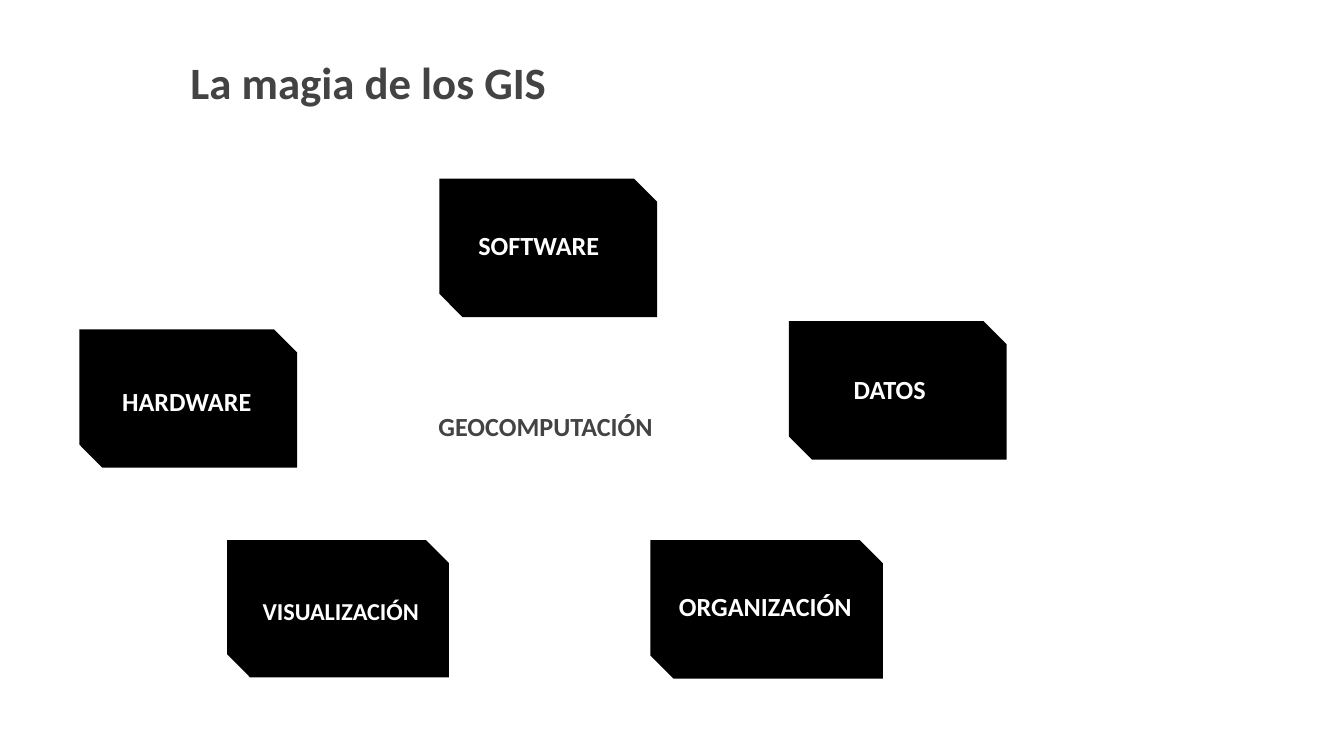
"""Build the GIS slide: five labelled cards around a central term."""
from pptx import Presentation
from pptx.dml.color import RGBColor
from pptx.enum.shapes import MSO_SHAPE
from pptx.enum.text import MSO_ANCHOR, MSO_AUTO_SIZE, PP_ALIGN
from pptx.util import Inches, Pt

CARD = MSO_SHAPE.SNIP_2_DIAG_RECTANGLE
TOP, BOTTOM = MSO_ANCHOR.TOP, MSO_ANCHOR.BOTTOM
CENTER = PP_ALIGN.CENTER
FIXED = MSO_AUTO_SIZE.NONE

WIDE = 10
HIGH = WIDE * 9 / 16
FONT = "Calibri"
BLACK, WHITE, GRAY = "000000", "FFFFFF", "434343"

TITLE = ("La magia de los GIS", (-1.1, 5.4, 57, 18.31))
CORE = ("GEOCOMPUTACIÓN", (28, 49.07, 25.2, 11.2))
CARDS = [
    ("VISUALIZACIÓN", 13, (16.9, 71.47, 16.5, 18.13), (15.7, 76.8, 19.3)),
    ("ORGANIZACIÓN", 14, (48.4, 71.47, 17.3, 18.31), (47.3, 76.44, 19.3)),
    ("SOFTWARE", 14, (32.7, 23.64, 16.2, 18.31), (32.3, 28.62, 15.6)),
    ("HARDWARE", 14, (5.9, 43.56, 16.2, 18.31), (6.1, 49.24, 15.6)),
    ("DATOS", 14, (58.7, 42.49, 16.2, 18.31), (58.4, 47.64, 15.6)),
]
LABEL_HIGH = 7.64


def color(code):
    return RGBColor.from_string(code)


def place(box):
    return [Inches(part * side / 100)
            for part, side in zip(box, (WIDE, HIGH) * 2)]


def write(shape, text, size, ink, anchor=BOTTOM):
    frame = shape.text_frame
    frame.text = text
    frame.word_wrap = True
    frame.auto_size = FIXED
    frame.vertical_anchor = anchor
    frame.margin_left = frame.margin_right = Inches(0.1)
    frame.margin_top = frame.margin_bottom = Inches(0.1)
    line = frame.paragraphs[0]
    line.alignment = CENTER
    font = line.font
    font.name, font.size, font.bold = FONT, Pt(size), True
    font.color.rgb = color(ink)


def add_card(shapes, box):
    card = shapes.add_shape(CARD, *place(box))
    card.adjustments[0], card.adjustments[1] = 0, 0.167
    card.shadow.inherit = False
    card.fill.solid()
    card.fill.fore_color.rgb = color(BLACK)
    card.line.fill.background()


def main():
    deck = Presentation()
    deck.slide_width, deck.slide_height = Inches(WIDE), Inches(HIGH)
    shapes = deck.slides.add_slide(deck.slide_layouts[5]).shapes

    text, box = TITLE
    title = shapes.title
    title.left, title.top, title.width, title.height = place(box)
    write(title, text, 24, GRAY, TOP)

    for text, size, box, spot in CARDS:
        add_card(shapes, box)
        label = shapes.add_textbox(*place((*spot, LABEL_HIGH)))
        write(label, text, size, WHITE)

    text, box = CORE
    write(shapes.add_textbox(*place(box)), text, 14, GRAY)
    deck.save("out.pptx")


if __name__ == "__main__":
    main()
